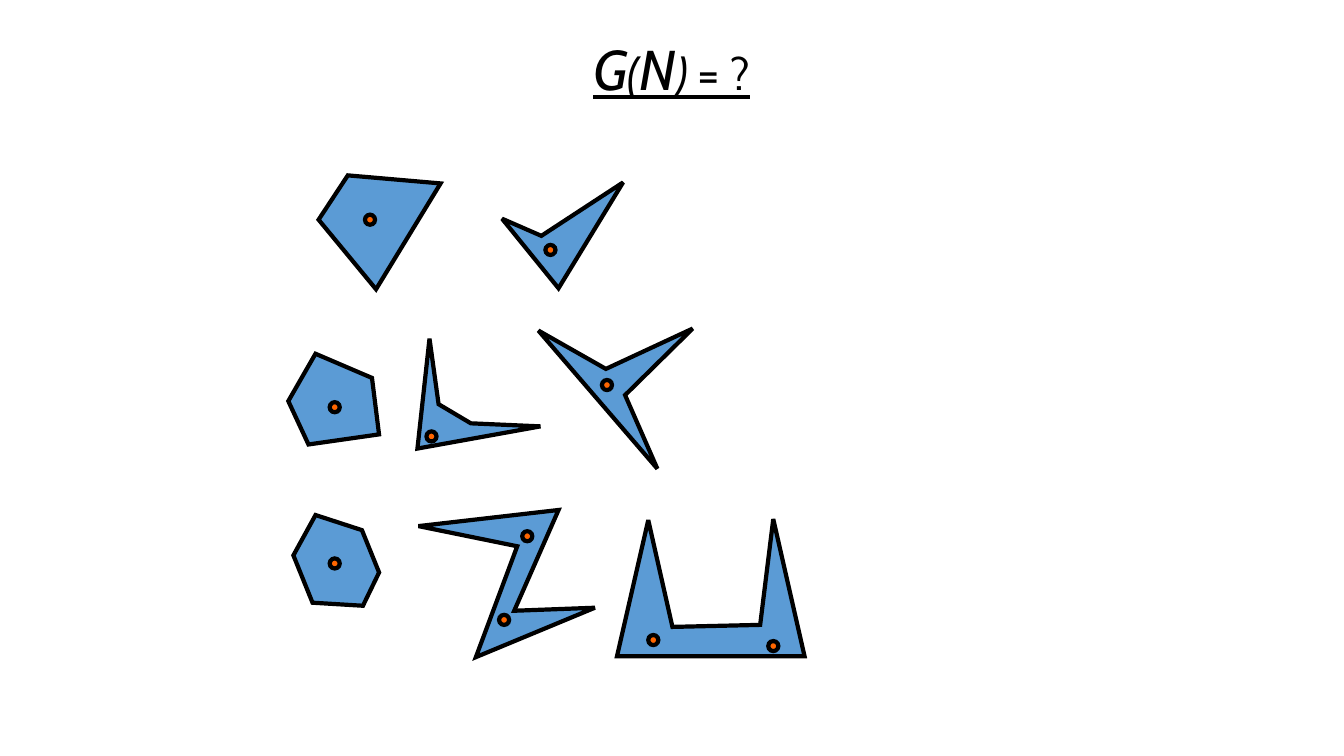
from collections import namedtuple
from dataclasses import dataclass

from lxml import etree
from pptx import Presentation
from pptx import util as u
from pptx.dml.color import RGBColor
from pptx.enum import shapes, text
from pptx.oxml import ns

Box = namedtuple("Box", "left top width height")
Figure = namedtuple("Figure", "left drop outline guards")


@dataclass(frozen=True)
class Theme:
    """Colours, type and line sizes of the slide."""
    ink: RGBColor = RGBColor(0x00, 0x00, 0x00)
    polygon: RGBColor = RGBColor(0x5B, 0x9B, 0xD5)
    guard: RGBColor = RGBColor(0xFF, 0x66, 0x00)
    font: str = "Cabin"
    title_size: int = u.Pt(40)
    outline: int = u.Pt(3)


THEME = Theme()
CELL = u.Inches(0.01)
GUARD_CELLS = 10
ROW_LEFT, ROW_WIDTH = 286, 512

ROWS = [
    (174, 114, [
        Figure(30, 0, [(0, 44), (57, 113), (121, 8), (29, 0)], [(51, 44)]),
        Figure(212, 7, [(0, 36), (56, 105), (120, 0), (39, 53)], [(48, 67)]),
    ]),
    (326, 139, [
        Figure(0, 25, [(0, 47), (20, 90), (90, 80), (83, 24), (27, 0)], [(46, 53)]),
        Figure(128, 10, [(12, 0), (0, 109), (122, 87), (53, 84), (21, 65)], [(14, 97)]),
        Figure(248, 0, [(0, 2), (118, 139), (86, 66), (153, 0), (67, 40)], [(68, 56)]),
    ]),
    (506, 146, [
        Figure(5, 5, [(0, 40), (22, 0), (68, 15), (85, 57), (69, 90), (19, 87)], [(41, 48)]),
        Figure(129, 0, [(0, 16), (139, 0), (95, 100), (175, 97), (57, 146), (98, 36)],
               [(108, 26), (85, 109)]),
        Figure(326, 9, [(31, 1), (55, 107), (142, 105), (155, 0), (186, 136), (0, 136)],
               [(155, 126), (36, 120)]),
    ]),
]


def write(para, words, italic=False, small_caps=False):
    """Add a title span in the given format."""
    span = para.add_run()
    span.text = words
    span.font.name = THEME.font
    span.font.size = THEME.title_size
    span.font.color.rgb = THEME.ink
    span.font.italic = italic
    span.font.underline = True
    if small_caps:
        span._r.get_or_add_rPr().set("cap", "small")


def paint(shape, colour):
    """Fill a shape and give it a black outline with sharp corners."""
    shape.shadow.inherit = False
    shape.fill.solid()
    shape.fill.fore_color.rgb = colour
    shape.line.color.rgb = THEME.ink
    shape.line.width = THEME.outline
    line = shape._element.spPr.find(ns.qn("a:ln"))
    etree.SubElement(line, ns.qn("a:miter"), lim="800000")


def add_heading(page, box):
    """Place the formula in the title placeholder."""
    title = page.shapes.title
    title.left, title.top, title.width, title.height = (n * CELL for n in box)
    title.text_frame.vertical_anchor = text.MSO_ANCHOR.MIDDLE
    para = title.text_frame.paragraphs[0]
    para.alignment = text.PP_ALIGN.CENTER
    para.line_spacing = 0.9
    write(para, "G(N)", italic=True, small_caps=True)
    write(para, " = ?", small_caps=True)


def add_guard(page, x, y):
    """Draw a guard dot centred on a grid point."""
    corner = [(n - GUARD_CELLS / 2) * CELL for n in (x, y)]
    dot = page.shapes.add_shape(shapes.MSO_SHAPE.OVAL, *map(int, corner),
                                GUARD_CELLS * CELL, GUARD_CELLS * CELL)
    paint(dot, THEME.guard)


def add_row(page, box, figures):
    """Draw one row of polygons with the guards that watch them."""
    for figure in figures:
        left, top = box.left + figure.left, box.top + figure.drop
        builder = page.shapes.build_freeform(*figure.outline[0], scale=CELL)
        builder.add_line_segments(figure.outline[1:], close=True)
        paint(builder.convert_to_shape(left * CELL, top * CELL), THEME.polygon)
        for x, y in figure.guards:
            add_guard(page, left + x, top + y)


def main():
    """Build the slide and save it."""
    deck = Presentation()
    deck.slide_width, deck.slide_height = u.Inches(13.33), u.Inches(7.5)
    page = deck.slides.add_slide(deck.slide_layouts.get_by_name("Title Only"))
    add_heading(page, Box(174, 29, 984, 85))
    for top, height, figures in ROWS:
        add_row(page, Box(ROW_LEFT, top, ROW_WIDTH, height), figures)
    deck.save("out.pptx")


if __name__ == "__main__":
    main()
